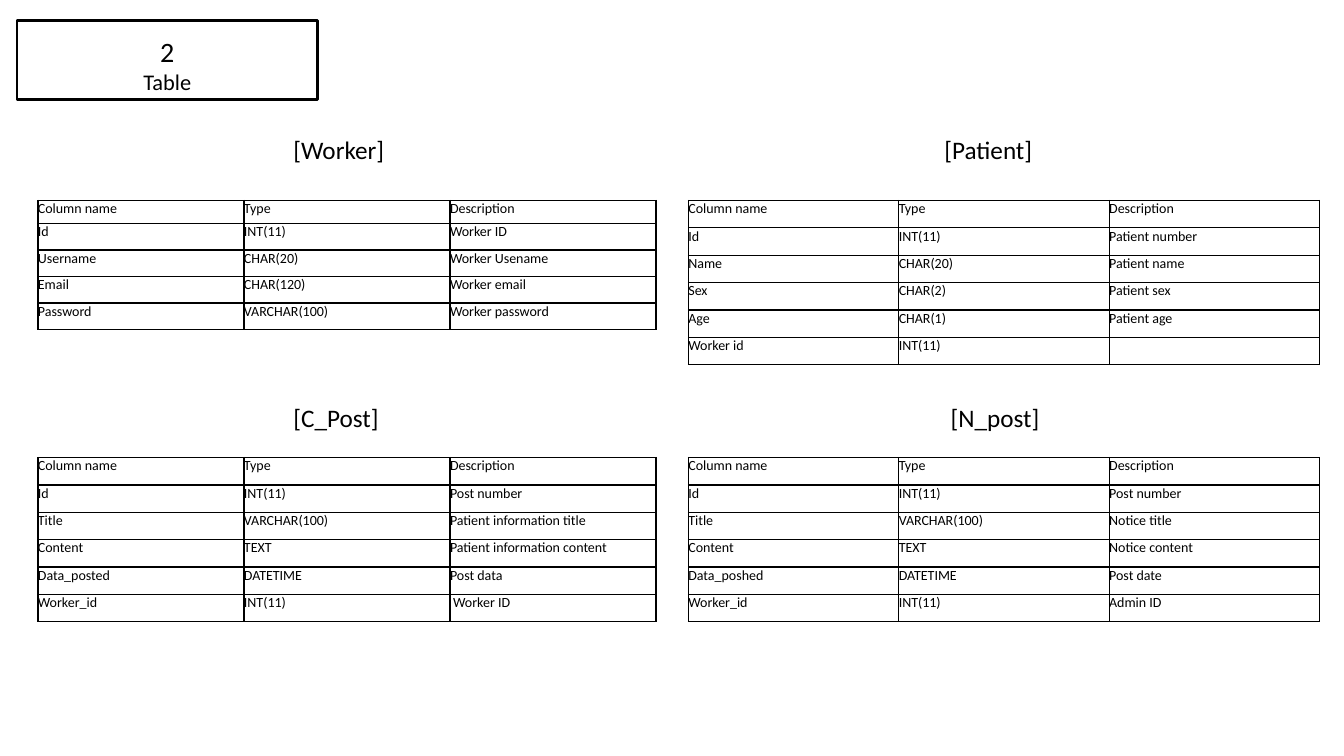
from dataclasses import dataclass

from lxml import etree
from pptx import Presentation
from pptx.dml.color import RGBColor
from pptx.enum.shapes import MSO_SHAPE
from pptx.enum.text import MSO_ANCHOR, MSO_AUTO_SIZE, PP_ALIGN
from pptx.oxml.ns import qn
from pptx.util import Pt

RECTANGLE = MSO_SHAPE.RECTANGLE
TOP = MSO_ANCHOR.TOP
GROW = MSO_AUTO_SIZE.SHAPE_TO_FIT_TEXT
LEFT, CENTER, JUSTIFY = PP_ALIGN.LEFT, PP_ALIGN.CENTER, PP_ALIGN.JUSTIFY
TITLE_ONLY = 5


@dataclass(frozen=True)
class Theme:
    font: str = "Calibri"
    ink: str = "000000"
    number_size: float = 20
    title_size: float = 16
    caption_size: float = 18
    cell_size: float = 10
    frame_line: float = 2
    grid_line: float = 1
    outline: float = 0.75
    outline_alpha: int = 30
    inset: float = 3.6


@dataclass(frozen=True)
class Schema:
    caption: str
    caption_left: float
    caption_top: float
    left: float
    top: float
    width: float
    header_height: float
    row_height: float
    rows: tuple[tuple[str, str, str], ...]


THEME = Theme()
HEADER = ("Column name", "Type", "Description")
LEFT_X, LEFT_WIDTH = 27.1, 441.6
RIGHT_X, RIGHT_WIDTH = 491.7, 450.9
UPPER_Y, LOWER_Y = 143.2, 326.8
UPPER_CAPTION_Y, LOWER_CAPTION_Y = 92.2, 283.7
LEFT_CAPTION_X = 206
ROW = 19.56

SCHEMAS = (
    Schema("[Worker]", LEFT_CAPTION_X, UPPER_CAPTION_Y,
           LEFT_X, UPPER_Y, LEFT_WIDTH, 16.4, 18.95, (
               ("Id", "INT(11)", "Worker ID"),
               ("Username", "CHAR(20)", "Worker Usename"),
               ("Email", "CHAR(120)", "Worker email"),
               ("Password", "VARCHAR(100)", "Worker password"))),
    Schema("[Patient]", 671, UPPER_CAPTION_Y,
           RIGHT_X, UPPER_Y, RIGHT_WIDTH, ROW, ROW, (
               ("Id", "INT(11)", "Patient number"),
               ("Name", "CHAR(20)", "Patient name"),
               ("Sex", "CHAR(2)", "Patient sex"),
               ("Age", "CHAR(1)", "Patient age"),
               ("Worker id", "INT(11)", ""))),
    Schema("[C_Post]", LEFT_CAPTION_X, LOWER_CAPTION_Y,
           LEFT_X, LOWER_Y, LEFT_WIDTH, ROW, ROW, (
               ("Id", "INT(11)", "Post number"),
               ("Title", "VARCHAR(100)", "Patient information title"),
               ("Content", "TEXT", "Patient information content"),
               ("Data_posted", "DATETIME", "Post data"),
               ("Worker_id", "INT(11)", " Worker ID"))),
    Schema("[N_post]", 675.4, LOWER_CAPTION_Y,
           RIGHT_X, LOWER_Y, RIGHT_WIDTH, ROW, ROW, (
               ("Id", "INT(11)", "Post number"),
               ("Title", "VARCHAR(100)", "Notice title"),
               ("Content", "TEXT", "Notice content"),
               ("Data_poshed", "DATETIME", "Post date"),
               ("Worker_id", "INT(11)", "Admin ID"))),
)


def ink() -> RGBColor:
    return RGBColor.from_string(THEME.ink)


def add_run(p, text: str, size: float, align: PP_ALIGN):
    p.alignment = align
    r = p.add_run()
    r.text = text
    r.font.name = THEME.font
    r.font.size = Pt(size)
    r.font.color.rgb = ink()
    return r


def solid_line(tag: str, width: float):
    ln = etree.Element(qn(tag), w=str(Pt(width)))
    fill = etree.SubElement(ln, qn("a:solidFill"))
    color = etree.SubElement(fill, qn("a:srgbClr"), val=THEME.ink)
    return ln, color


def outline_run(r) -> None:
    """Give the letters a thin, partly transparent outline."""
    ln, color = solid_line("a:ln", THEME.outline)
    etree.SubElement(color, qn("a:alpha"), val=str(THEME.outline_alpha * 1000))
    r._r.get_or_add_rPr().insert(0, ln)


def set_frame(tf) -> None:
    tf.word_wrap = True
    tf.auto_size = GROW
    tf.vertical_anchor = TOP
    tf.margin_left = tf.margin_right = Pt(THEME.inset)
    tf.margin_top = tf.margin_bottom = Pt(THEME.inset)


def add_title(s) -> None:
    title = s.shapes.title
    title.left, title.top = Pt(21.6), Pt(20.9)
    title.width, title.height = Pt(195.8), Pt(47.5)
    tf = title.text_frame
    set_frame(tf)
    outline_run(add_run(tf.paragraphs[0], "2", THEME.number_size, CENTER))
    outline_run(add_run(tf.add_paragraph(), "Table", THEME.title_size, CENTER))

    frame = s.shapes.add_shape(RECTANGLE, Pt(12.2), Pt(14.4), Pt(214.6), Pt(56.9))
    frame.shadow.inherit = False
    frame.fill.background()
    frame.line.color.rgb = ink()
    frame.line.width = Pt(THEME.frame_line)


def fill_cell(cell, text: str) -> None:
    cell.margin_left = cell.margin_right = cell.margin_top = cell.margin_bottom = 0
    p = cell.text_frame.paragraphs[0]
    if text:
        add_run(p, text, THEME.cell_size, JUSTIFY)
    else:
        etree.SubElement(p._p, qn("a:endParaRPr"), sz=str(int(THEME.cell_size * 100)))
    tc_pr = cell._tc.get_or_add_tcPr()
    for side in ("a:lnL", "a:lnR", "a:lnT", "a:lnB"):
        tc_pr.append(solid_line(side, THEME.grid_line)[0])
    cell.fill.background()


def add_schema_table(s, schema: Schema) -> None:
    rows = (HEADER, *schema.rows)
    height = schema.header_height + schema.row_height * len(schema.rows)
    table = s.shapes.add_table(len(rows), len(HEADER), Pt(schema.left), Pt(schema.top),
                               Pt(schema.width), Pt(height)).table
    table.first_row = table.horz_banding = False
    for i, values in enumerate(rows):
        table.rows[i].height = Pt(schema.row_height if i else schema.header_height)
        for j, text in enumerate(values):
            fill_cell(table.cell(i, j), text)


def add_caption(s, schema: Schema) -> None:
    box = s.shapes.add_textbox(Pt(schema.caption_left), Pt(schema.caption_top),
                               Pt(82.8), Pt(26))
    set_frame(box.text_frame)
    add_run(box.text_frame.paragraphs[0], schema.caption, THEME.caption_size, LEFT)


def main() -> None:
    prs = Presentation()
    prs.slide_width, prs.slide_height = Pt(960), Pt(540)
    s = prs.slides.add_slide(prs.slide_layouts[TITLE_ONLY])
    add_title(s)
    for schema in SCHEMAS:
        add_schema_table(s, schema)
        add_caption(s, schema)
    prs.save("out.pptx")


if __name__ == "__main__":
    main()
